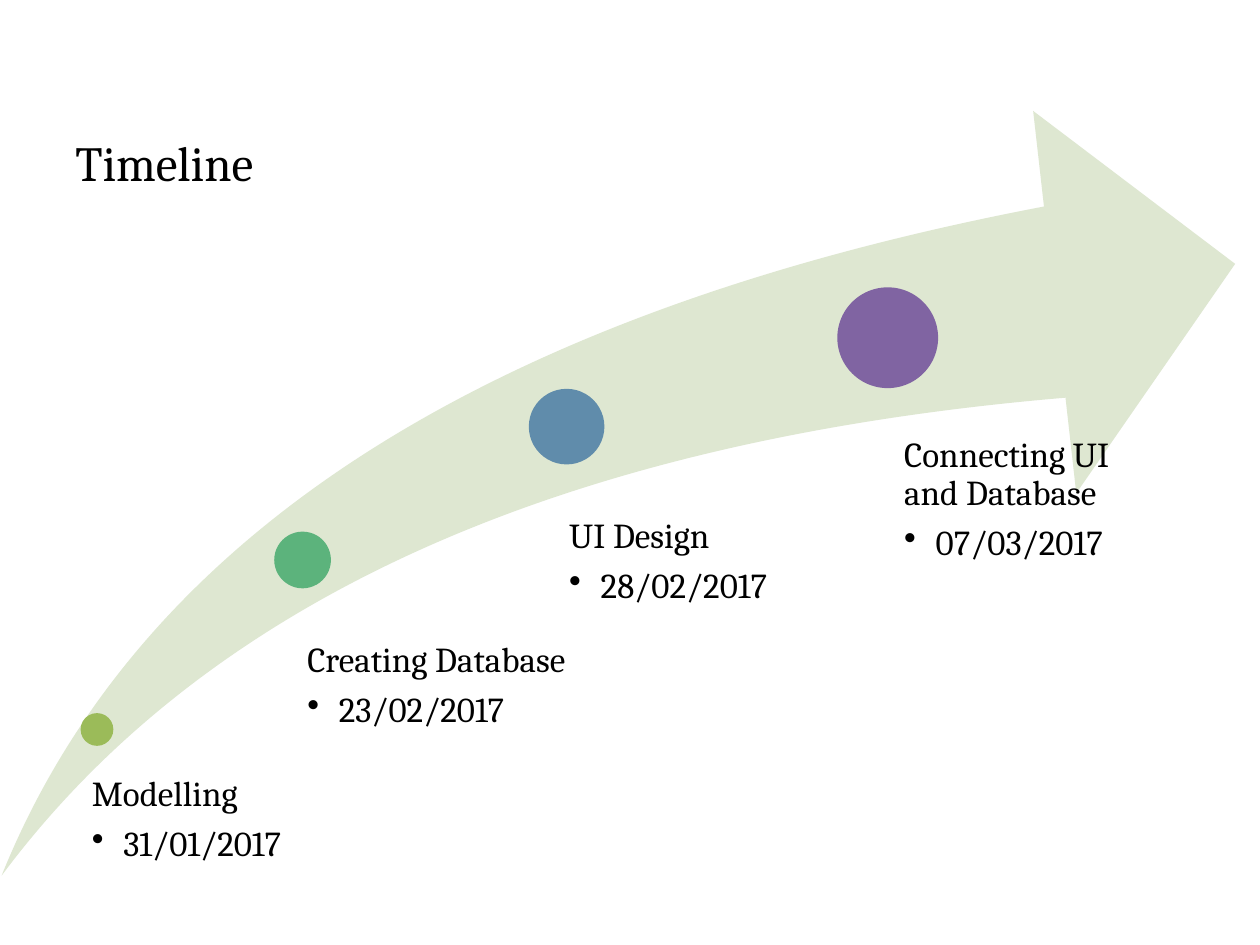
from lxml import etree
from pptx import Presentation
from pptx import util as u
from pptx.dml.color import RGBColor
from pptx.enum import shapes, text
from pptx.oxml.ns import qn

FONT = "Cambria"
BLACK = "000000"
ARROW_COLOR = "DEE7D1"
INDENT = 18

# Dot (left, top, diameter, colour), label (left, top, width, height, inset), wording
MILESTONES = [
    ((46.1, 407.5, 18.7, "9BBB59"), (42.5, 443.5, 167.8, 121, 10),
     "Modelling", "31/01/2017"),
    ((156.7, 303.8, 32.4, "5CB37C"), (158.4, 367.2, 170.6, 189.4, 17.2),
     "Creating Database", "23/02/2017"),
    ((302.2, 222.2, 43.2, "608CAB"), (302.4, 295.9, 170.6, 190.8, 22.9),
     "UI Design", "28/02/2017"),
    ((478.5, 164.2, 57.6, "8064A2"), (486.1, 249.8, 170.6, 234.7, 30.6),
     "Connecting UI and Database", "07/03/2017"),
]


def color(value):
    return RGBColor.from_string(value)


def points(*lengths):
    return [u.Pt(length) for length in lengths]


def add_solid(page, kind, bounds, fill):
    shape = page.shapes.add_shape(kind, *points(*bounds))
    shape.shadow.inherit = False
    shape.fill.solid()
    shape.fill.fore_color.rgb = color(fill)
    shape.line.fill.background()
    return shape


def add_frame(page, bounds, insets):
    frame = page.shapes.add_textbox(*points(*bounds)).text_frame
    frame.word_wrap = True
    frame.vertical_anchor = text.MSO_ANCHOR.TOP
    (frame.margin_left, frame.margin_top,
     frame.margin_right, frame.margin_bottom) = points(*insets)
    return frame


def write(para, wording, size):
    para.text = wording
    para.font.name = FONT
    para.font.size = u.Pt(size)
    para.font.color.rgb = color(BLACK)


def add_bullet(para):
    props = para._p.get_or_add_pPr()
    props.set("marL", str(u.Pt(INDENT)))
    props.set("indent", str(u.Pt(-INDENT)))
    bullet = etree.Element(qn("a:buChar"), char="•")
    props.find(qn("a:defRPr")).addprevious(bullet)


def add_label(page, bounds, inset, name, date):
    frame = add_frame(page, bounds, (inset, 0, 0, 0))
    heading, entry = frame.paragraphs[0], frame.add_paragraph()
    for para, wording, gap in ((heading, name, 7), (entry, date, 3)):
        write(para, wording, 20)
        para.line_spacing = 0.9
        para.space_after = u.Pt(gap)
    entry.level = 1
    add_bullet(entry)


def main():
    deck = Presentation()
    deck.slide_width, deck.slide_height = points(720, 540)
    page = deck.slides.add_slide(deck.slide_layouts[6])

    # Rising arrow
    arrow = add_solid(page, shapes.MSO_SHAPE.SWOOSH_ARROW,
                      (0.9, 63.4, 704.9, 437), ARROW_COLOR)
    arrow.adjustments[0] = arrow.adjustments[1] = 0.25

    # Milestones along the arrow
    for (left, top, size, fill), (*bounds, inset), name, date in MILESTONES:
        add_solid(page, shapes.MSO_SHAPE.OVAL, (left, top, size, size), fill)
        add_label(page, bounds, inset, name, date)

    # Title
    title = add_frame(page, (36, 72, 648, 72), (7.2, 3.6, 7.2, 3.6))
    write(title.paragraphs[0], "Timeline", 28)

    deck.save("out.pptx")


if __name__ == "__main__":
    main()
